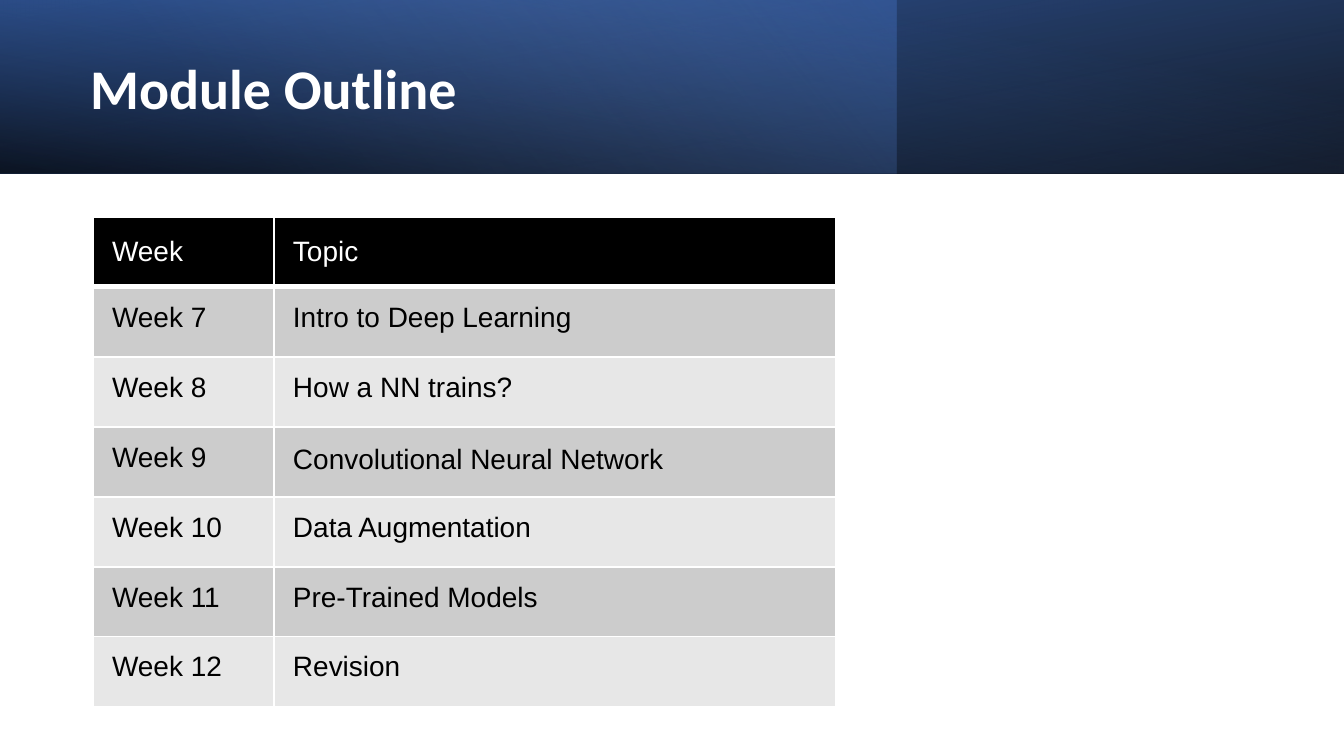
from lxml import etree
from pptx import Presentation
from pptx.dml.color import RGBColor as Color
from pptx.enum.shapes import MSO_SHAPE as Shape
from pptx.enum.text import MSO_ANCHOR as Anchor
from pptx.oxml import parse_xml
from pptx.oxml.ns import nsdecls, qn
from pptx.util import Emu, Pt

SCALE = 914400 / 134.4
WHITE = Color(0xFF, 0xFF, 0xFF)
BLACK = Color(0x00, 0x00, 0x00)
NAVY = Color(0x2F, 0x55, 0x97)
BLUE = Color(0x44, 0x72, 0xC4)
SKY = Color(0x8F, 0xAA, 0xDC)
GREY = Color(0xCC, 0xCC, 0xCC)
PALE = Color(0xE7, 0xE7, 0xE7)


def px(length):
    return Emu(round(length * SCALE))


class Page:
    title_font = "Calibri"
    body_font = "Arial"

    def __init__(self, deck):
        self.slide = deck.slides.add_slide(deck.slide_layouts[6])

    def add_span(self, para, text, font, size, color, bold=False):
        span = para.add_run()
        span.text = text
        span.font.name = font
        span.font.size = Pt(size)
        span.font.color.rgb = color
        span.font.bold = bold

    def add_band(self, width, height, stops, angle, flip=False, rotation=0):
        """Stops are (position %, colour, opacity %)."""
        band = self.slide.shapes.add_shape(Shape.RECTANGLE, 0, 0, px(width), px(height))
        band.rotation = rotation
        properties = band._element.spPr
        if flip:
            properties.find(qn("a:xfrm")).set("flipH", "1")
        marks = "".join(
            f'<a:gs pos="{position * 1000}"><a:srgbClr val="{color}">'
            f'<a:alpha val="{opacity * 1000}"/></a:srgbClr></a:gs>'
            for position, color, opacity in stops)
        properties.append(parse_xml(
            f'<a:gradFill {nsdecls("a")} rotWithShape="1"><a:gsLst>{marks}</a:gsLst>'
            f'<a:lin ang="{angle * 60000}" scaled="0"/></a:gradFill>'))
        band.line.fill.background()
        band.shadow.inherit = False

    def add_title(self, left, top, width, height, text):
        box = self.slide.shapes.add_textbox(px(left), px(top), px(width), px(height))
        frame = box.text_frame
        frame.word_wrap = True
        frame.vertical_anchor = Anchor.MIDDLE
        para = frame.paragraphs[0]
        para.line_spacing = 0.9
        self.add_span(para, text, self.title_font, 30, WHITE, bold=True)

    def set_borders(self, cell, top, bottom):
        properties = cell._tc.get_or_add_tcPr()
        sides = {"lnL": 1, "lnR": 1, "lnT": top, "lnB": bottom}
        for index, (side, width) in enumerate(sides.items()):
            line = etree.Element(qn(f"a:{side}"), w=str(Pt(width)))
            fill = etree.SubElement(line, qn("a:solidFill"))
            etree.SubElement(fill, qn("a:srgbClr"), val=str(WHITE))
            properties.insert(index, line)

    def add_table(self, left, top, widths, row_height, rows):
        table = self.slide.shapes.add_table(
            len(rows), len(widths), px(left), px(top),
            px(sum(widths)), px(row_height * len(rows))).table
        for column, width in zip(table.columns, widths):
            column.width = px(width)
        for index, texts in enumerate(rows):
            table.rows[index].height = px(row_height)
            header = index == 0
            shade = BLACK if header else GREY if index % 2 else PALE
            for cell, text in zip(table.rows[index].cells, texts):
                cell.fill.solid()
                cell.fill.fore_color.rgb = shade
                cell.margin_left, cell.margin_right = px(19), px(11)
                cell.margin_top = cell.margin_bottom = px(15)
                cell.vertical_anchor = Anchor.MIDDLE if header else Anchor.TOP
                self.set_borders(cell, 3 if index == 1 else 1, 3 if header else 1)
                self.add_span(cell.text_frame.paragraphs[0], text,
                              self.body_font, 15, WHITE if header else BLACK)
        return table


def main():
    deck = Presentation()
    deck.slide_width, deck.slide_height = px(1344), px(756)
    page = Page(deck)

    # Layered gradient header
    page.add_band(1344, 174, [(0, BLACK, 96), (100, NAVY, 100)], 100, flip=True, rotation=180)
    page.add_band(897, 174, [(0, BLUE, 41), (74, SKY, 0)], 140)
    page.add_band(1344, 174, [(0, BLACK, 63), (78, BLUE, 15)], 260, flip=True)
    page.add_title(77, 27, 778, 128, "Module Outline")

    # Weekly topics
    topics = ["Intro to Deep Learning", "How a NN trains?", "Convolutional Neural Network",
              "Data Augmentation", "Pre-Trained Models", "Revision"]
    rows = [("Week", "Topic")]
    rows += [(f"Week {week}", topic) for week, topic in enumerate(topics, 7)]
    table = page.add_table(93, 217, [181, 562], 70, rows)
    network = table.cell(3, 1).text_frame.paragraphs[0]
    network.line_spacing = 1.07
    network.space_after = Pt(8)

    deck.save("out.pptx")


if __name__ == "__main__":
    main()
